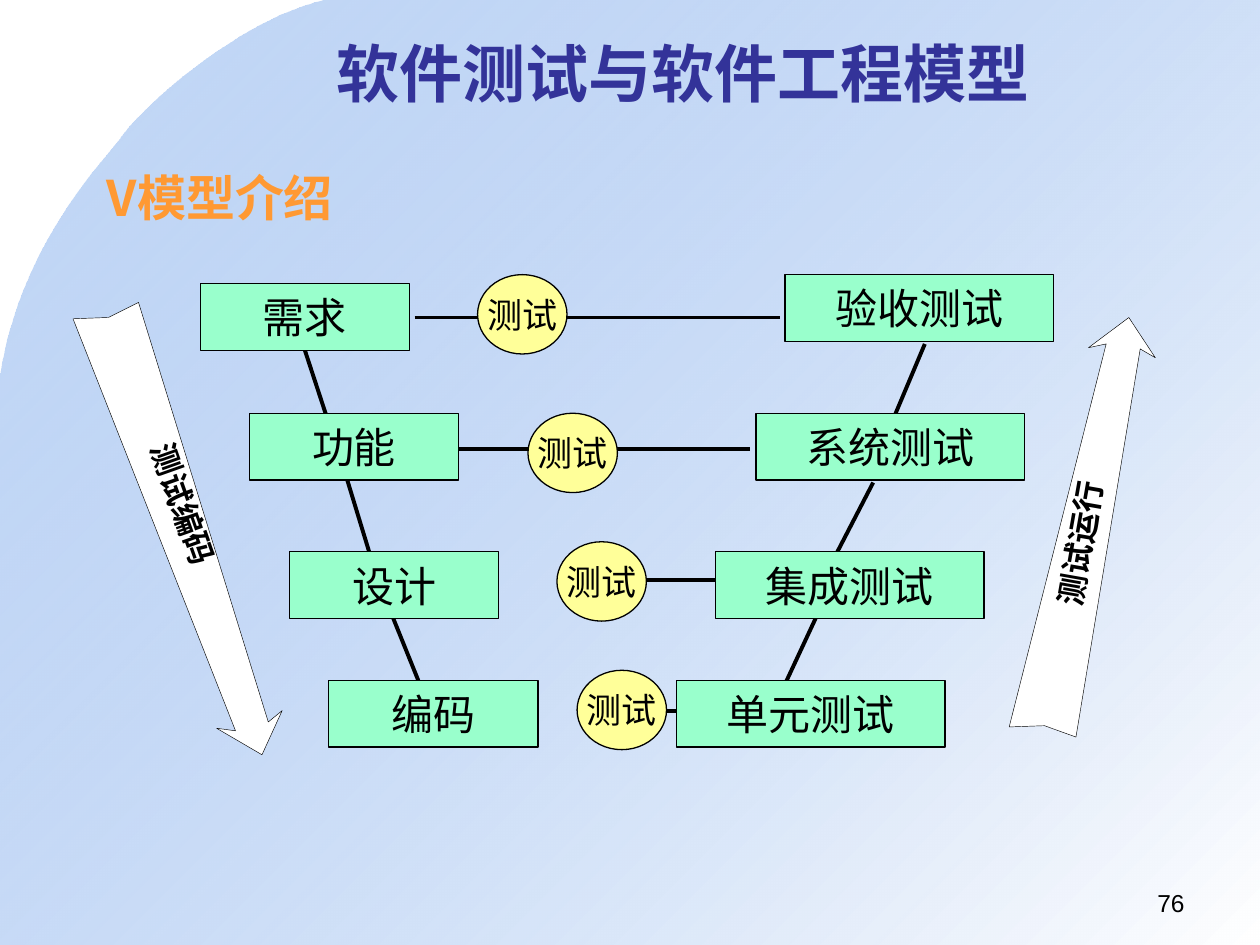
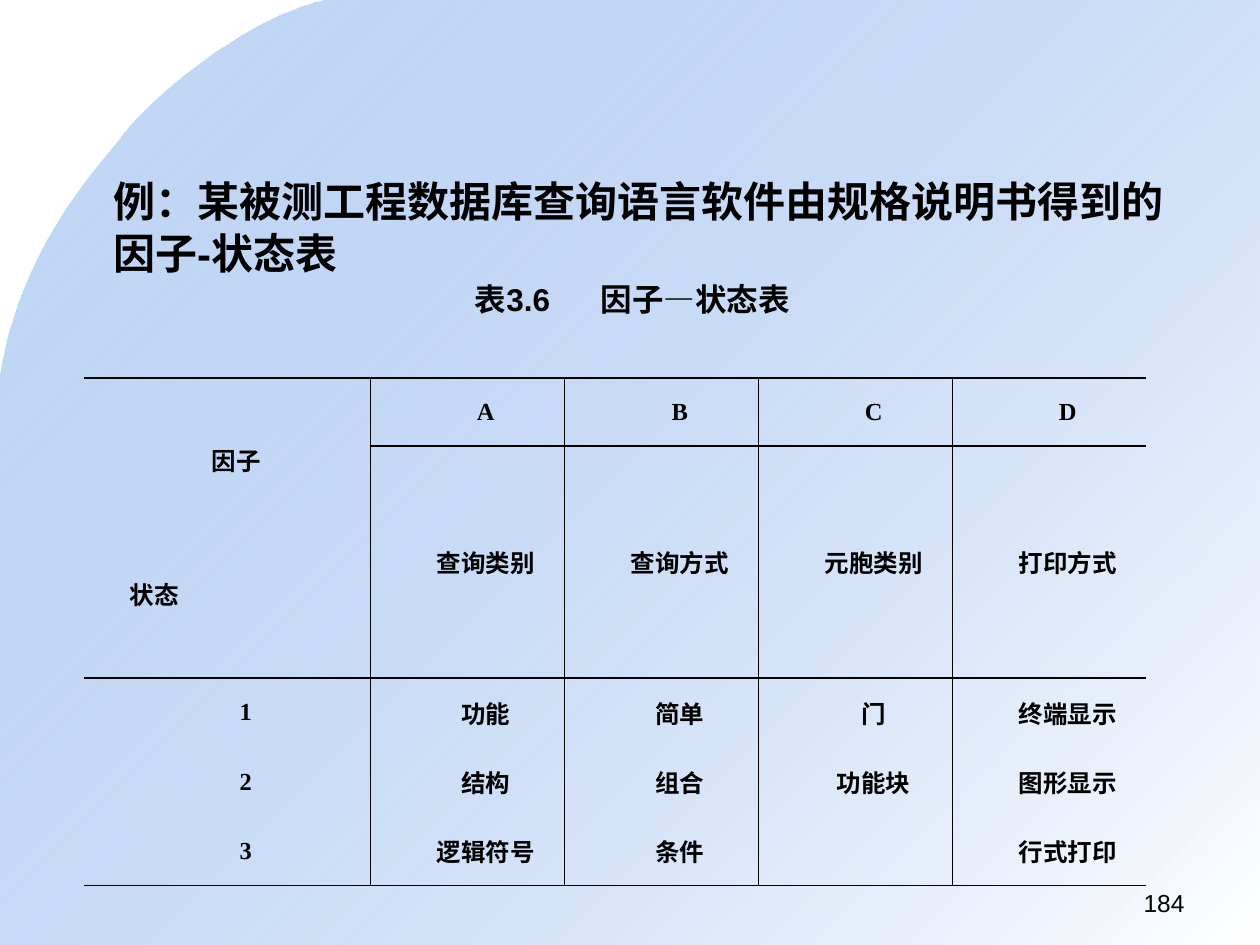
from lxml import etree
from pptx import Presentation
from pptx.dml.color import RGBColor
from pptx.enum.shapes import MSO_CONNECTOR as Connector, MSO_SHAPE as Preset
from pptx.enum.text import MSO_ANCHOR as Anchor, PP_ALIGN as Align
from pptx.oxml.ns import qn
from pptx.util import Inches, Pt

COLORS = {
    "title": "333399", "heading": "FF9933", "ink": "000000", "white": "FFFFFF",
    "phase": "99FFCC", "test": "FFFF99", "sky": "699DE9",
}
LATIN, SERIF, CJK = "Arial", "Times New Roman", "Noto Sans CJK SC"
TITLE_ONLY, BLANK = 5, 6


def rgb(name):
    return RGBColor.from_string(COLORS[name])


def curve(start, control_1, control_2, end, steps=24):
    """Points along a cubic curve, without its start."""
    points = []
    for step in range(1, steps + 1):
        t = step / steps
        weights = ((1 - t) ** 3, 3 * t * (1 - t) ** 2, 3 * t * t * (1 - t), t ** 3)
        corners = (start, control_1, control_2, end)
        points.append(tuple(sum(w * c[axis] for w, c in zip(weights, corners))
                            for axis in (0, 1)))
    return points


class Deck:
    def __init__(self):
        self.presentation = Presentation()
        self.presentation.slide_width = Inches(10)
        self.presentation.slide_height = Inches(7.5)
        self.slide = None

    def start_slide(self, layout, number):
        layouts = self.presentation.slide_layouts
        self.slide = self.presentation.slides.add_slide(layouts[layout])
        self.text(number, (7.17, 7, 2.33, 0.35), size=14, align=Align.RIGHT)

    def add_text_run(self, paragraph, text, size, color="ink", bold=False,
                     font=LATIN, align=Align.LEFT):
        paragraph.alignment = align
        run = paragraph.add_run()
        run.text = text
        run.font.size = Pt(size)
        run.font.bold = bold
        run.font.name = font
        run.font.color.rgb = rgb(color)
        east_asian = etree.Element(qn("a:ea"), typeface=CJK)
        run.font._element.find(qn("a:latin")).addnext(east_asian)

    def title(self, text, box):
        shape = self.slide.shapes.title
        shape.left, shape.top, shape.width, shape.height = map(Inches, box)
        shape.text_frame.vertical_anchor = Anchor.MIDDLE
        self.add_text_run(shape.text_frame.paragraphs[0], text, 36, "title", True,
                          align=Align.CENTER)

    def text(self, text, box, spacing=None, **style):
        shape = self.slide.shapes.add_textbox(*map(Inches, box))
        shape.text_frame.word_wrap = True
        paragraph = shape.text_frame.paragraphs[0]
        paragraph.line_spacing = spacing
        self.add_text_run(paragraph, text, **style)
        return shape

    def arrow_label(self, text, box, angle):
        shape = self.text(text, box, size=18, bold=True, font=CJK, align=Align.CENTER)
        shape.rotation = angle
        self.center(shape.text_frame)

    def center(self, frame):
        frame.margin_left = frame.margin_right = 0
        frame.margin_top = frame.margin_bottom = 0
        frame.vertical_anchor = Anchor.MIDDLE
        frame.word_wrap = False

    def node(self, preset, text, box, fill, size):
        shape = self.slide.shapes.add_shape(preset, *map(Inches, box))
        self.paint(shape, fill, 0.75)
        self.center(shape.text_frame)
        self.add_text_run(shape.text_frame.paragraphs[0], text, size,
                          align=Align.CENTER)

    def paint(self, shape, fill, line_width):
        shape.shadow.inherit = False
        shape.fill.solid()
        shape.fill.fore_color.rgb = rgb(fill)
        shape.line.color.rgb = rgb("ink")
        shape.line.width = Pt(line_width)

    def outline(self, points):
        corners = [(Inches(x), Inches(y)) for x, y in points]
        builder = self.slide.shapes.build_freeform(*corners[0])
        builder.add_line_segments(corners[1:], close=True)
        return builder.convert_to_shape()

    def block_arrow(self, points):
        self.paint(self.outline(points), "white", 0.25)

    def line(self, x1, y1, x2, y2):
        connector = self.slide.shapes.add_connector(
            Connector.STRAIGHT, *map(Inches, (x1, y1, x2, y2)))
        connector.line.color.rgb = rgb("ink")
        connector.line.width = Pt(2.25)
        etree.SubElement(connector.element.spPr, qn("a:effectLst"))

    def master_backdrop(self):
        """Draw the curved sky once and hang it on the slide master."""
        top, bend, side = (2.58, 0), (0.98, 1.07), (0, 3.01)
        shape = self.outline([top, *curve(top, (1.9, 0.16), (1.16, 0.83), bend),
                              *curve(bend, (0.8, 1.32), (0.16, 1.94), side),
                              (0, 7.5), (10, 7.5), (10, 0)])
        shape.shadow.inherit = False
        shape.line.fill.background()
        shape.fill.gradient()
        shape.fill.gradient_angle = 315
        for stop, color, position in zip(shape.fill.gradient_stops, ("sky", "white"), (0, 1)):
            stop.color.rgb = rgb(color)
            stop.position = position
        sky = next(shape.element.iter(qn("a:srgbClr")))
        etree.SubElement(sky, qn("a:alpha"), val="39000")
        self.presentation.slide_master.shapes.element.insert(2, shape.element)

    def border(self, cell, sides):
        properties = cell._tc.get_or_add_tcPr()
        for side in "LRTB":
            line = etree.SubElement(properties, qn(f"a:ln{side}"), w=str(Pt(1)))
            if side in sides:
                fill = etree.SubElement(line, qn("a:solidFill"))
                etree.SubElement(fill, qn("a:srgbClr"), val=COLORS["ink"])
            else:
                etree.SubElement(line, qn("a:noFill"))
        cell.fill.background()

    def cell_text(self, paragraph, text, indent=0.29, align=Align.CENTER):
        paragraph._p.get_or_add_pPr().set("indent", str(Inches(indent)))
        self.add_text_run(paragraph, text, 14, bold=True, font=SERIF, align=align)

    def table(self, rows, left, top, widths, heights):
        frame = self.slide.shapes.add_table(
            len(heights), len(widths), Inches(left), Inches(top),
            Inches(sum(widths)), Inches(sum(heights)))
        table = frame.table
        table.first_row = table.horz_banding = False
        for column, width in zip(table.columns, widths):
            column.width = Inches(width)
        for row, height in zip(table.rows, heights):
            row.height = Inches(height)
        last_row, last_column = len(heights) - 1, len(widths) - 1
        for r, texts in enumerate(rows):
            for c, text in enumerate(texts):
                cell = table.cell(r, c)
                cell.margin_left = cell.margin_right = Inches(0.07)
                cell.margin_top = cell.margin_bottom = 0
                cell.vertical_anchor = Anchor.MIDDLE
                sides = {"L": c > 0, "R": c < last_column,
                         "T": r <= 2, "B": r <= 1 or r == last_row}
                self.border(cell, [side for side, shown in sides.items() if shown])
                if text:
                    self.cell_text(cell.text_frame.paragraphs[0], text)
        return table

    def corner_cell(self, table, factor, state):
        cell = table.cell(0, 0)
        cell.merge(table.cell(1, 0))
        cell.vertical_anchor = Anchor.TOP
        cell.margin_top = Inches(0.51)
        self.cell_text(cell.text_frame.paragraphs[0], factor, 0.94, Align.LEFT)
        paragraph = cell.text_frame.add_paragraph()
        paragraph.space_before = Pt(56)
        self.cell_text(paragraph, state, align=Align.LEFT)


def v_model_slide(deck):
    deck.start_slide(TITLE_ONLY, "76")
    deck.master_backdrop()
    deck.title("软件测试与软件工程模型", (1.17, 0.17, 8.5, 0.81))
    deck.text("V模型介绍", (0.75, 1.33, 7.78, 0.58), spacing=0.9,
              size=28, color="heading", bold=True, font=CJK)

    # Links down each arm of the V, then across it
    for ends in [(2.41, 2.75, 2.61, 3.36), (2.75, 3.79, 2.93, 4.38),
                 (3.09, 4.83, 3.32, 5.4), (7.34, 2.73, 7.1, 3.3),
                 (6.93, 3.83, 6.63, 4.41), (6.5, 4.85, 6.23, 5.43)]:
        deck.line(*ends)
    for level, (x1, x2) in enumerate([(3.29, 6.19), (3.63, 5.95),
                                      (4.78, 6.47), (5.12, 6.2)]):
        y = 2.52 + 1.04 * level
        deck.line(x1, y, x2, y)

    # Direction arrows
    deck.block_arrow([(2.08, 5.99), (1.72, 5.78), (1.87, 5.8), (0.58, 2.53),
                      (0.86, 2.52), (1.1, 2.4), (2.13, 5.73), (2.24, 5.64)])
    deck.arrow_label("测试编码", (0.74, 3.85, 1.43, 0.3), 70.5)
    deck.block_arrow([(8.96, 2.52), (9.17, 2.84), (9.05, 2.77), (8.54, 5.85),
                      (8.29, 5.76), (8.01, 5.77), (8.78, 2.73), (8.64, 2.76)])
    deck.arrow_label("测试运行", (8.07, 4.16, 1, 0.3), 280)

    # Test circles, development phases and test phases
    for x, y in [(3.79, 2.18), (4.19, 3.28), (4.42, 4.3), (4.58, 5.32)]:
        deck.node(Preset.OVAL, "测试", (x, y, 0.71, 0.63), "test", 20)
    phases = [("需求", 1.59, 2.25), ("功能", 1.98, 3.28),
              ("设计", 2.3, 4.38), ("编码", 2.61, 5.4)]
    tests = [("验收测试", 6.23, 2.18), ("系统测试", 6, 3.28),
             ("集成测试", 5.68, 4.38), ("单元测试", 5.37, 5.4)]
    for boxes, width in ((phases, 1.66), (tests, 2.13)):
        for name, x, y in boxes:
            deck.node(Preset.RECTANGLE, name, (x, y, width, 0.53), "phase", 24)


def factor_table_slide(deck):
    deck.start_slide(BLANK, "184")
    deck.text("例：某被测工程数据库查询语言软件由规格说明书得到的因子-状态表",
              (0.8, 1.33, 8.54, 1), spacing=Pt(29.7), size=24, bold=True)
    deck.text("表3.6\t因子—状态表", (3.67, 2.17, 3, 0.4), size=18, bold=True)
    rows = [
        ("", "A", "B", "C", "D"),
        ("", "查询类别", "查询方式", "元胞类别", "打印方式"),
        ("1", "功能", "简单", "门", "终端显示"),
        ("2", "结构", "组合", "功能块", "图形显示"),
        ("3", "逻辑符号", "条件", "", "行式打印"),
    ]
    table = deck.table(rows, 0.67, 3, [2.27] + [1.54] * 4,
                       [0.54, 1.84] + [0.55] * 3)
    deck.corner_cell(table, "因子", "状态")


def main():
    deck = Deck()
    v_model_slide(deck)
    factor_table_slide(deck)
    deck.presentation.save("out.pptx")


if __name__ == "__main__":
    main()
